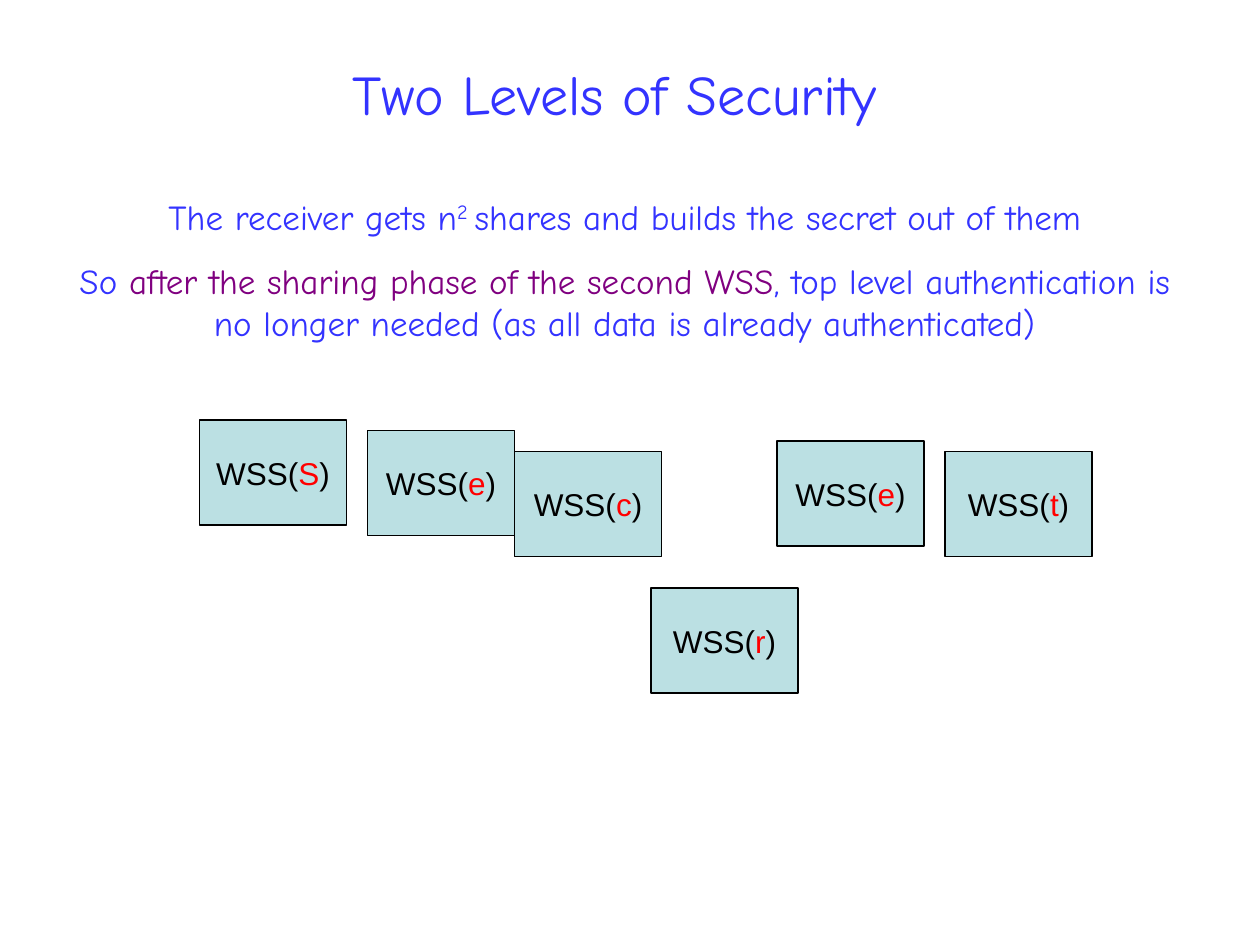
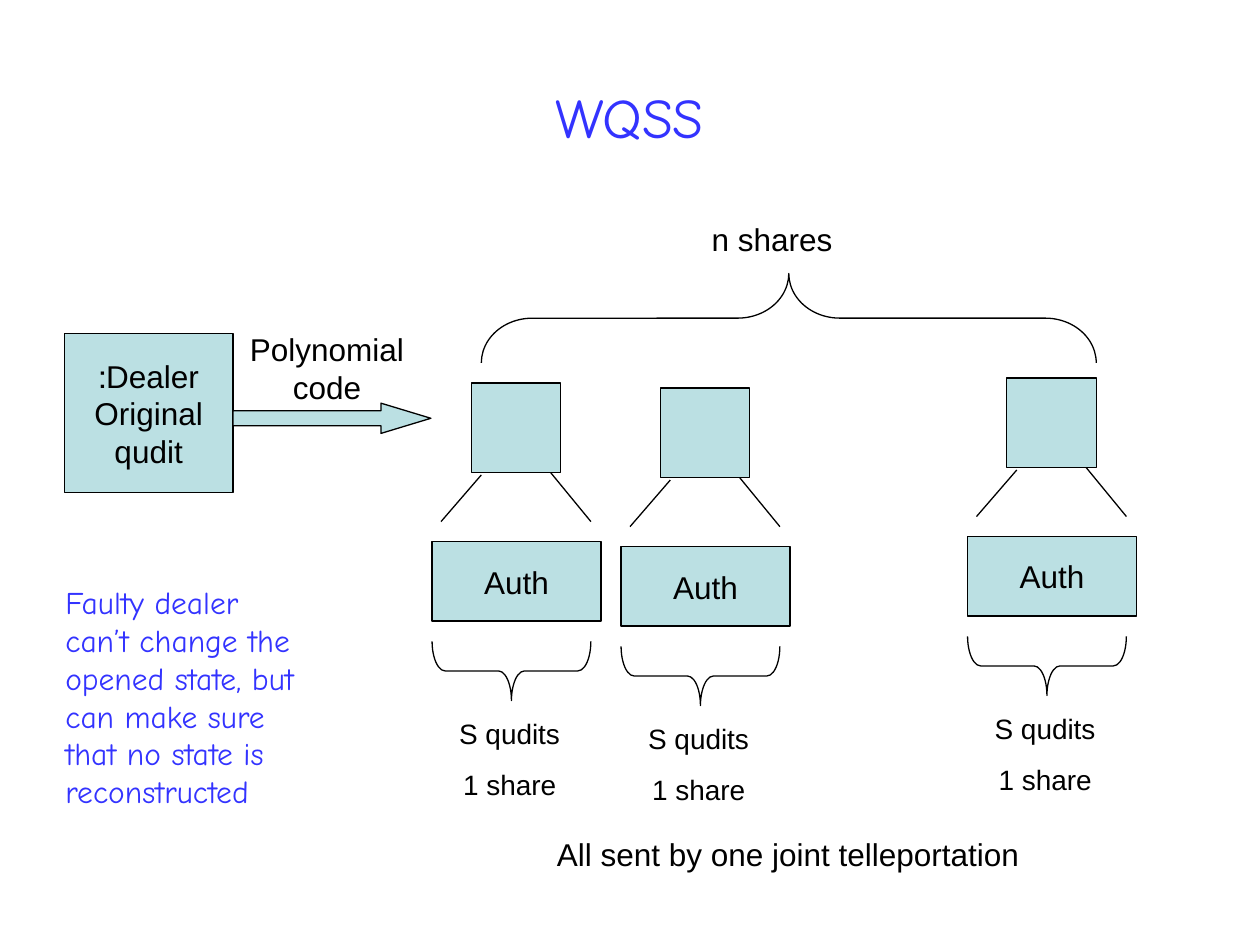
from dataclasses import dataclass

import lxml.etree
import pptx
import pptx.dml.color
import pptx.enum.shapes
import pptx.enum.text
import pptx.oxml.ns
import pptx.util

SHAPE = pptx.enum.shapes.MSO_SHAPE
ALIGN = pptx.enum.text.PP_ALIGN
ANCHOR = pptx.enum.text.MSO_ANCHOR
AUTO_SIZE = pptx.enum.text.MSO_AUTO_SIZE


@dataclass(frozen=True)
class Theme:
    ink: str = "000000"
    box: str = "BBE0E3"
    heading: str = "3333FF"
    secret: str = "FF0000"
    emphasis: str = "800080"
    plain_font: str = "Arial"
    hand_font: str = "Comic Neue"
    title_size: float = 32
    body_size: float = 20
    label_size: float = 18
    caption_size: float = 16
    line_width: float = 0.75


T = Theme()
LABEL = (T.plain_font, T.label_size, T.ink)
CAPTION = (T.plain_font, T.caption_size, T.ink)
TITLE = (T.hand_font, T.title_size, T.heading)
BODY = (T.hand_font, T.body_size, T.heading)
REMARK = (T.hand_font, T.label_size, T.heading)

# A paragraph is a list of runs: (text, colour or None for the style's colour).
SECURITY_TITLE = "Two Levels of Security"
SUPERSCRIPT = "2 "
SECURITY_TEXT = [
    [("The receiver gets n", None), (SUPERSCRIPT, None),
     ("shares and builds the secret out of them", None)],
    [("So ", None), ("after the sharing phase of the second WSS", T.emphasis),
     (", top level authentication is no longer needed "
      "(as all data is already authenticated)", None)],
]
# Secret, column and row on a grid of twelve cells to the inch.
CELL = 1 / 12
WSS_CELLS = (14, 10)
WSS_BOXES = [("S", 19, 40), ("t", 90, 43), ("e", 35, 41),
             ("c", 49, 43), ("r", 62, 56), ("e", 74, 42)]

WQSS_TITLE = "WQSS"
DEALER = ["Dealer:", "Original", "qudit"]
SHARE_CAPTION = ["S qudits", "1 share"]
SHARE_SIDE = 0.71
SHARE_CORNERS = [(3.74, 3.04), (5.24, 3.08), (7.99, 3)]
FAN_LINES = [((0.08, 0.73), (-0.24, 1.1)), ((0.63, 0.71), (0.95, 1.1))]
# Label, left, top, width, height, style, alignment.
WQSS_LABELS = [
    ("Polynomial code", 1.77, 2.57, 1.65, 0.7, LABEL, ALIGN.CENTER),
    ("n shares", 5.55, 1.7, 1.73, 0.4, LABEL, ALIGN.LEFT),
    ("Faulty dealer can’t change the opened state, but can make sure "
     "that no state is reconstructed", 0.42, 4.58, 2.08, 1.9, REMARK, ALIGN.LEFT),
    ("All sent by one joint telleportation", 3.67, 6.58, 5.17, 0.4, LABEL, ALIGN.CENTER),
]


def inches(*lengths):
    return [pptx.util.Inches(length) for length in lengths]


def rgb(colour):
    return pptx.dml.color.RGBColor.from_string(colour)


def plain(*lines):
    return [[(line, None)] for line in lines]


def set_text(sp, paragraphs, style, align=ALIGN.CENTER, gap=0):
    """Write paragraphs of (text, colour) runs, with gap points between paragraphs."""
    font, size, ink = style
    tf = sp.text_frame
    for i, runs in enumerate(paragraphs):
        p = tf.add_paragraph() if i else tf.paragraphs[0]
        p.alignment = align
        p.space_before = pptx.util.Pt(gap if i else 0)
        for text, colour in runs:
            r = p.add_run()
            r.text = text
            r.font.name = font
            r.font.size = pptx.util.Pt(size)
            r.font.color.rgb = rgb(colour or ink)
            if text == SUPERSCRIPT:
                r.font._element.set("baseline", "30000")


def place(sp, *box):
    sp.left, sp.top, sp.width, sp.height = inches(*box)


def add_title(slide, text, *box):
    sp = slide.shapes.title
    place(sp, *box)
    sp.text_frame.vertical_anchor = ANCHOR.MIDDLE
    sp.text_frame.auto_size = AUTO_SIZE.NONE
    set_text(sp, plain(text), TITLE)


def fill_body(slide, paragraphs, *box):
    sp = slide.placeholders[1]
    place(sp, *box)
    sp.text_frame.auto_size = AUTO_SIZE.NONE
    set_text(sp, paragraphs, BODY, gap=12.5)
    for p in sp.text_frame.paragraphs:
        pPr = p._p.get_or_add_pPr()
        pPr.set("marL", "0")
        pPr.set("indent", "0")
        lxml.etree.SubElement(pPr, pptx.oxml.ns.qn("a:buNone"))


def outline(sp):
    sp.line.color.rgb = rgb(T.ink)
    sp.line.width = pptx.util.Pt(T.line_width)


def add_shape(slide, kind, box, paragraphs=(), fill=T.box):
    sp = slide.shapes.add_shape(kind, *inches(*box))
    sp.shadow.inherit = False
    outline(sp)
    if fill:
        sp.fill.solid()
        sp.fill.fore_color.rgb = rgb(fill)
    else:
        sp.fill.background()
    if paragraphs:
        sp.text_frame.word_wrap = False
        sp.text_frame.vertical_anchor = ANCHOR.MIDDLE
        set_text(sp, paragraphs, LABEL)
    return sp


def add_brace(slide, left, top, width, height, curve, rotation):
    """Turn an upright brace so that it covers the given horizontal box."""
    shift = (width - height) / 2
    sp = add_shape(slide, SHAPE.LEFT_BRACE,
                   (left + shift, top - shift, height, width), fill=None)
    sp.adjustments[0] = curve
    sp.rotation = rotation


def add_line(slide, start, end):
    c = slide.shapes.add_connector(
        pptx.enum.shapes.MSO_CONNECTOR.STRAIGHT, *inches(*start, *end))
    outline(c)
    lxml.etree.SubElement(c._element.spPr, pptx.oxml.ns.qn("a:effectLst"))


def add_label(slide, paragraphs, box, style, align=ALIGN.CENTER, gap=0):
    sp = slide.shapes.add_textbox(*inches(*box))
    sp.text_frame.word_wrap = True
    sp.text_frame.auto_size = AUTO_SIZE.SHAPE_TO_FIT_TEXT
    set_text(sp, paragraphs, style, align, gap)


def add_share(slide, x, y):
    """Draw one share, its authentication box and its caption from corner (x, y)."""
    add_shape(slide, SHAPE.RECTANGLE, (x, y, SHARE_SIDE, SHARE_SIDE))
    for (x1, y1), (x2, y2) in FAN_LINES:
        add_line(slide, (x + x1, y + y1), (x + x2, y + y2))
    add_shape(slide, SHAPE.RECTANGLE, (x - 0.31, y + 1.26, 1.34, 0.63), plain("Auth"))
    add_brace(slide, x - 0.31, y + 2.05, 1.26, 0.47, 0.22, 270)
    add_label(slide, plain(*SHARE_CAPTION), (x - 0.41, y + 2.6, 1.43, 0.77),
              CAPTION, gap=10)


def build_security(prs):
    slide = prs.slides.add_slide(prs.slide_layouts[1])
    add_title(slide, SECURITY_TITLE, 0.92, 0.42, 7.92, 0.64)
    fill_body(slide, SECURITY_TEXT, 0.5, 1.5, 8.92, 1.28)
    for secret, col, row in WSS_BOXES:
        box = [n * CELL for n in (col, row, *WSS_CELLS)]
        runs = [("WSS(", None), (secret, T.secret), (")", None)]
        add_shape(slide, SHAPE.RECTANGLE, box, [runs])


def build_wqss(prs):
    slide = prs.slides.add_slide(prs.slide_layouts[5])
    add_title(slide, WQSS_TITLE, 0.5, 0.3, 9, 1.25)
    dealer = add_shape(slide, SHAPE.RECTANGLE, (0.51, 2.65, 1.34, 1.26), plain(*DEALER))
    for p in dealer.text_frame.paragraphs:
        p._p.get_or_add_pPr().set("rtl", "1")
    arrow = add_shape(slide, SHAPE.RIGHT_ARROW, (1.85, 3.2, 1.57, 0.24))
    arrow.adjustments[0], arrow.adjustments[1] = 0.5, 1.65
    add_brace(slide, 3.82, 2.17, 4.88, 0.71, 0.57, 90)
    for x, y in SHARE_CORNERS:
        add_share(slide, x, y)
    for text, *box, style, align in WQSS_LABELS:
        add_label(slide, plain(text), box, style, align)


def main():
    prs = pptx.Presentation()
    prs.slide_width, prs.slide_height = inches(10, 7.5)
    build_security(prs)
    build_wqss(prs)
    prs.save("out.pptx")


if __name__ == "__main__":
    main()
